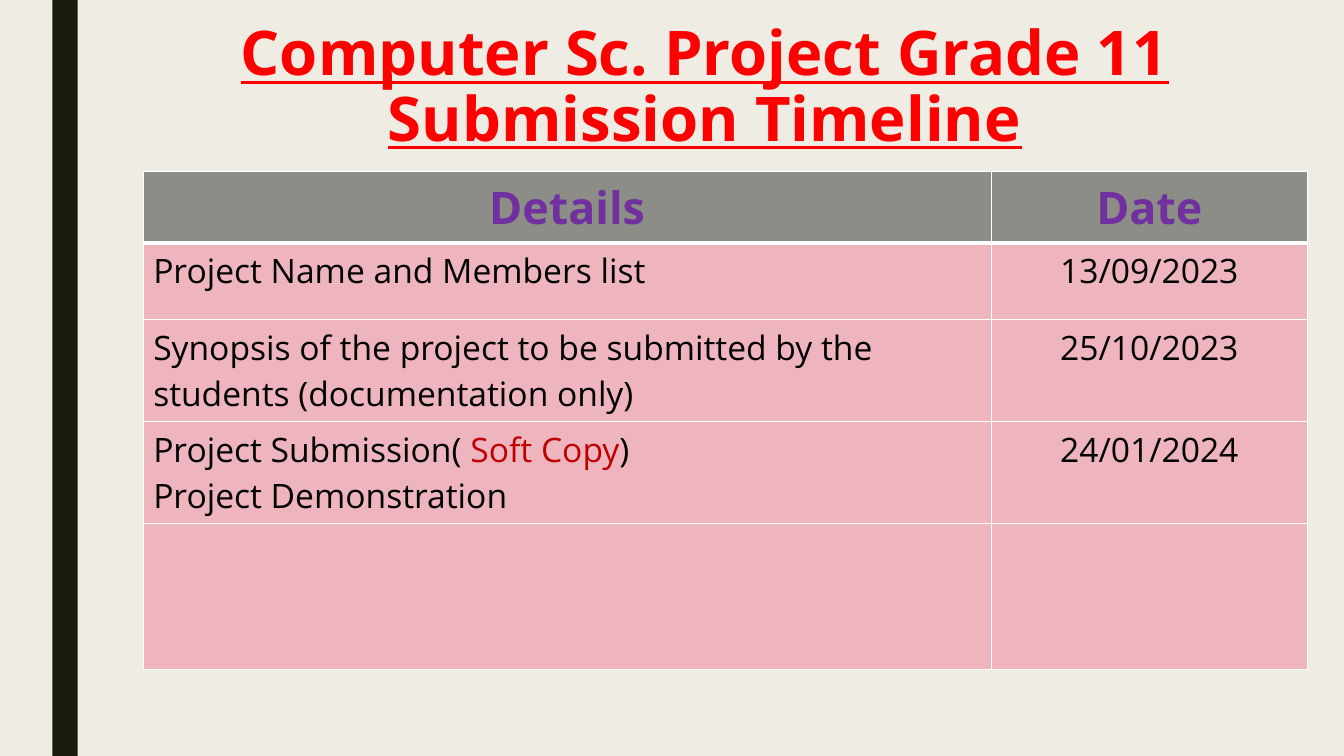
"""Build the project submission timeline slide."""
from lxml import etree
from pptx import Presentation
from pptx import util as u
from pptx.dml.color import RGBColor
from pptx.enum import shapes, text
from pptx.oxml.ns import qn

TITLE = "Computer Sc. Project Grade 11\vSubmission Timeline"
HEAD = ("Details", "Date")
ROWS = [
    ([["Project Name and Members list"]], "13/09/2023"),
    ([["Synopsis of the project to be submitted by the students "
       "(documentation only)"]], "25/10/2023"),
    ([["Project Submission( ", ("Soft Copy", "accent"), ")"],
      ["Project Demonstration"]], "24/01/2024"),
    ([], ""),
]
COLS = (8.41, 3.14)
TALL = (0.71, 0.76, 1.01, 1.01, 1.45)
FONT = "Open Sans"
INK = {"back": "EFEDE3", "bar": "191B0E", "title": "FF0000",
       "head": "7030A0", "gray": "8C8D86", "pink": "EEB5BF",
       "text": "000000", "accent": "C00000", "rule": "FFFFFF"}


def hue(name):
    return RGBColor.from_string(INK[name])


def paint(shape, name):
    shape.fill.solid()
    shape.fill.fore_color.rgb = hue(name)


def style(par, size, name, bold=False, center=False):
    font = par.font
    font.name, font.size, font.bold = FONT, u.Pt(size), bold
    font.color.rgb = hue(name)
    par.alignment = text.PP_ALIGN.CENTER if center else text.PP_ALIGN.LEFT


def edge(cell, low):
    props = cell._tc.get_or_add_tcPr()
    sides = (("lnL", 1), ("lnR", 1), ("lnT", 1), ("lnB", low))
    for spot, (side, width) in enumerate(sides):
        line = etree.Element(qn("a:" + side), w=str(u.Pt(width)))
        fill = etree.SubElement(line, qn("a:solidFill"))
        etree.SubElement(fill, qn("a:srgbClr"), val=INK["rule"])
        props.insert(spot, line)


def write(cell, lines, size, name, bold=False, center=False):
    frame = cell.text_frame
    for row, parts in enumerate(lines or [[]]):
        par = frame.add_paragraph() if row else frame.paragraphs[0]
        style(par, size, name, bold, center)
        for part in parts:
            word, tint = (part, None) if isinstance(part, str) else part
            run = par.add_run()
            run.text = word
            if tint:
                run.font.color.rgb = hue(tint)


def main():
    deck = Presentation()
    deck.slide_width, deck.slide_height = u.Inches(13.33), u.Inches(7.5)
    slide = deck.slides.add_slide(deck.slide_layouts[5])
    paint(slide.background, "back")

    bar = slide.shapes.add_shape(shapes.MSO_SHAPE.RECTANGLE, u.Inches(0.52), 0,
                                 u.Inches(0.25), deck.slide_height)
    paint(bar, "bar")
    bar.line.fill.background()
    bar.shadow.inherit = False

    title = slide.shapes.title
    title.left, title.top = u.Inches(1.74), u.Inches(0.18)
    title.width, title.height = u.Inches(10.5), u.Inches(1.62)
    frame = title.text_frame
    frame.text = TITLE
    frame.word_wrap = True
    frame.auto_size = text.MSO_AUTO_SIZE.NONE
    frame.vertical_anchor = text.MSO_ANCHOR.TOP
    par = frame.paragraphs[0]
    style(par, 44, "title", True, True)
    par.font.underline = True
    par.line_spacing = 0.89

    table = slide.shapes.add_table(
        len(TALL), len(COLS), u.Inches(1.42), u.Inches(1.7),
        u.Inches(sum(COLS)), u.Inches(sum(TALL))).table
    for col, width in zip(table.columns, COLS):
        col.width = u.Inches(width)
    for row, height in zip(table.rows, TALL):
        row.height = u.Inches(height)
    for col, label in enumerate(HEAD):
        write(table.cell(0, col), [[label]], 32, "head", True, True)
    for row, (lines, date) in enumerate(ROWS, 1):
        write(table.cell(row, 0), lines, 24, "text")
        write(table.cell(row, 1), [[date]] if date else [], 24, "text",
              center=True)
    for row in range(len(TALL)):
        for col in range(len(COLS)):
            cell = table.cell(row, col)
            paint(cell, "pink" if row else "gray")
            edge(cell, 1 if row else 3)

    deck.save("out.pptx")


if __name__ == "__main__":
    main()
